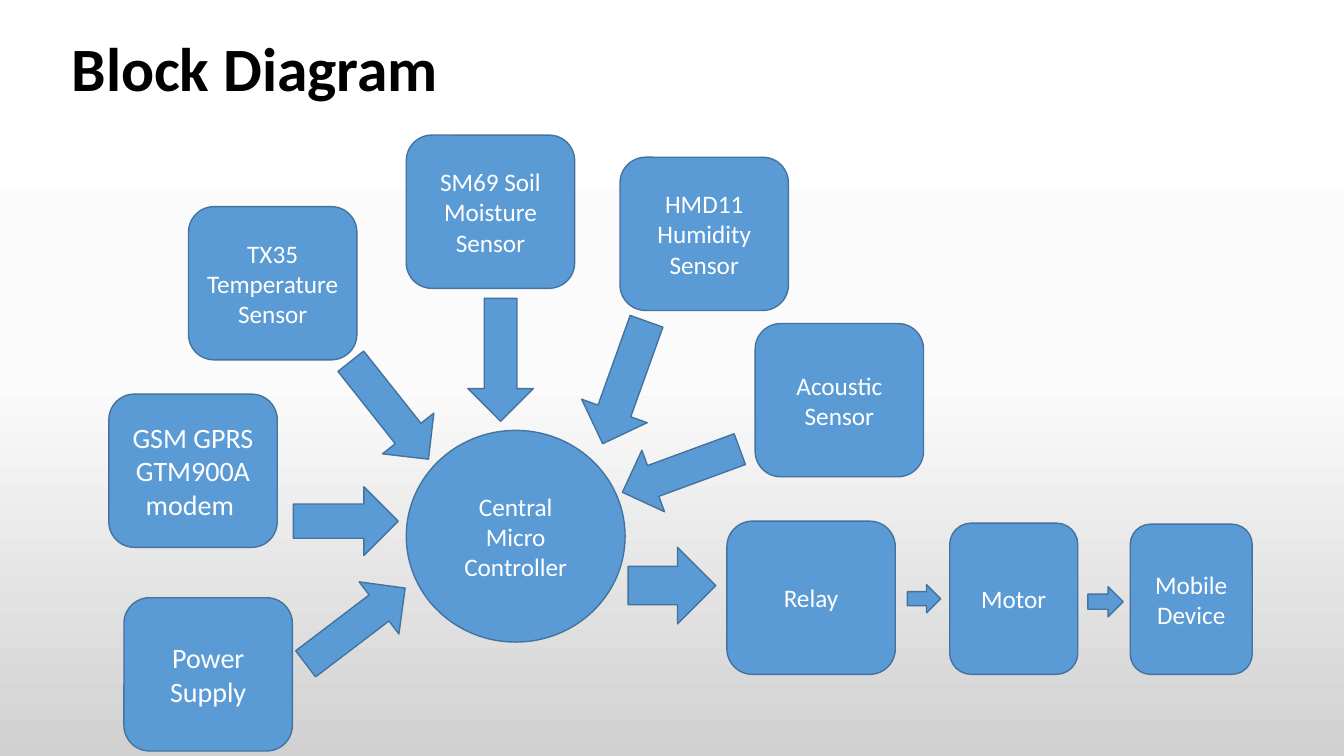
from copy import deepcopy

from pptx import Presentation
from pptx.dml.color import RGBColor
from pptx.enum.shapes import MSO_SHAPE
from pptx.enum.text import MSO_ANCHOR, MSO_AUTO_SIZE, PP_ALIGN
from pptx.util import Inches, Pt

ROUND = MSO_SHAPE.ROUNDED_RECTANGLE
OVAL = MSO_SHAPE.OVAL
DOWN = MSO_SHAPE.DOWN_ARROW
RIGHT = MSO_SHAPE.RIGHT_ARROW
MIDDLE = MSO_ANCHOR.MIDDLE
NO_FIT = MSO_AUTO_SIZE.NONE
LEFT = PP_ALIGN.LEFT
CENTER = PP_ALIGN.CENTER

BLUE = RGBColor(0x5B, 0x9B, 0xD5)
EDGE = RGBColor(0x43, 0x73, 0x9E)
WHITE = RGBColor(0xFF, 0xFF, 0xFF)
BLACK = RGBColor(0, 0, 0)
PALE = RGBColor(0xFB, 0xFB, 0xFB)
GREY = RGBColor(0xD1, 0xD1, 0xD1)

FONT = "Calibri"
CELL = Inches(0.1)
TILE = (16.7, 15.2)
ARROW = (6.5, 12.4)

INPUTS = [
    ("SM69 Soil Moisture Sensor", 18, 29.5, 0),
    ("TX35\nTemperature Sensor", 18, 7.9, 7.1),
    ("HMD11\nHumidity Sensor", 18, 50.7, 2.2),
    ("Acoustic Sensor", 18, 64.1, 18.7),
    ("GSM GPRS GTM900A modem ", 20, 0, 25.7),
    ("Power Supply", 20, 1.5, 45.9),
]
FEEDS = [
    (35.6, 16.2, 6.5, 12.2, 0),
    (24.6, 21.1, *ARROW, 321.6),
    (47.7, 18.1, 6.9, 12.9, 19.7),
    (53.5, 27.1, *ARROW, 69.8),
    (20.1, 33.1, 6.8, 10.4, 270),
    (21.2, 42.5, *ARROW, 232.7),
]
STEPS = [
    ("Relay", (9.8, 0, *TILE), (0, 2.6, 8.7, 7.6)),
    ("Motor", (31.9, 0.2, 12.7, 15), (27.7, 6.3, 3.3, 2.8)),
    ("Mobile Device", (49.8, 0.3, 12.1, 14.9), (45.6, 6.5, 3.5, 3)),
]


def paint(slide):
    fill = slide.background.fill
    fill.gradient()
    fill.gradient_angle = 270
    stops = slide.element.xpath(".//a:gsLst")[0]
    stops.insert(1, deepcopy(stops[0]))
    shades = [(0, WHITE), (0.5, PALE), (1, GREY)]
    for stop, (share, shade) in zip(fill.gradient_stops, shades):
        stop.position = share
        stop.color.rgb = shade


def style(para, size, color, align):
    para.alignment = align
    para.font.name = FONT
    para.font.size = Pt(size)
    para.font.color.rgb = color


def head(slide, box):
    title = slide.shapes.title
    title.left, title.top, title.width, title.height = [
        round(n * CELL) for n in box]
    frame = title.text_frame
    frame.text = "Block Diagram"
    frame.word_wrap = True
    frame.auto_size = NO_FIT
    frame.vertical_anchor = MIDDLE
    para = frame.paragraphs[0]
    style(para, 44, BLACK, LEFT)
    para.font.bold = True
    para.line_spacing = 0.9


def block(slide, kind, base, spot, turn=0):
    x, y, wide, high = spot
    shape = slide.shapes.add_shape(
        kind, *[round(n * CELL)
                for n in (base[0] + x, base[1] + y, wide, high)])
    shape.rotation = turn
    shape.shadow.inherit = False
    shape.fill.solid()
    shape.fill.fore_color.rgb = BLUE
    shape.line.color.rgb = EDGE
    shape.line.width = Pt(1)
    return shape


def label(shape, text, size):
    frame = shape.text_frame
    frame.text = text
    frame.word_wrap = True
    frame.vertical_anchor = MIDDLE
    for para in frame.paragraphs:
        style(para, size, WHITE, CENTER)


def inputs(slide, base):
    for text, size, x, y in INPUTS:
        label(block(slide, ROUND, base, (x, y, *TILE)), text, size)
    hub = block(slide, OVAL, base, (29.5, 29.3, 21.7, 21))
    label(hub, "Central Micro Controller", 18)
    for *spot, turn in FEEDS:
        block(slide, DOWN, base, spot, turn)


def outputs(slide, base):
    for text, spot, arrow in STEPS:
        block(slide, RIGHT, base, arrow)
        label(block(slide, ROUND, base, spot), text, 18)


def main():
    deck = Presentation()
    deck.slide_width = Inches(13.33)
    deck.slide_height = Inches(7.5)
    slide = deck.slides.add_slide(deck.slide_layouts[5])
    paint(slide)
    head(slide, (6.1, 2.9, 94.5, 8.4))
    inputs(slide, (10.8, 13.4))
    outputs(slide, (62.3, 51.7))
    deck.save("out.pptx")


if __name__ == "__main__":
    main()
